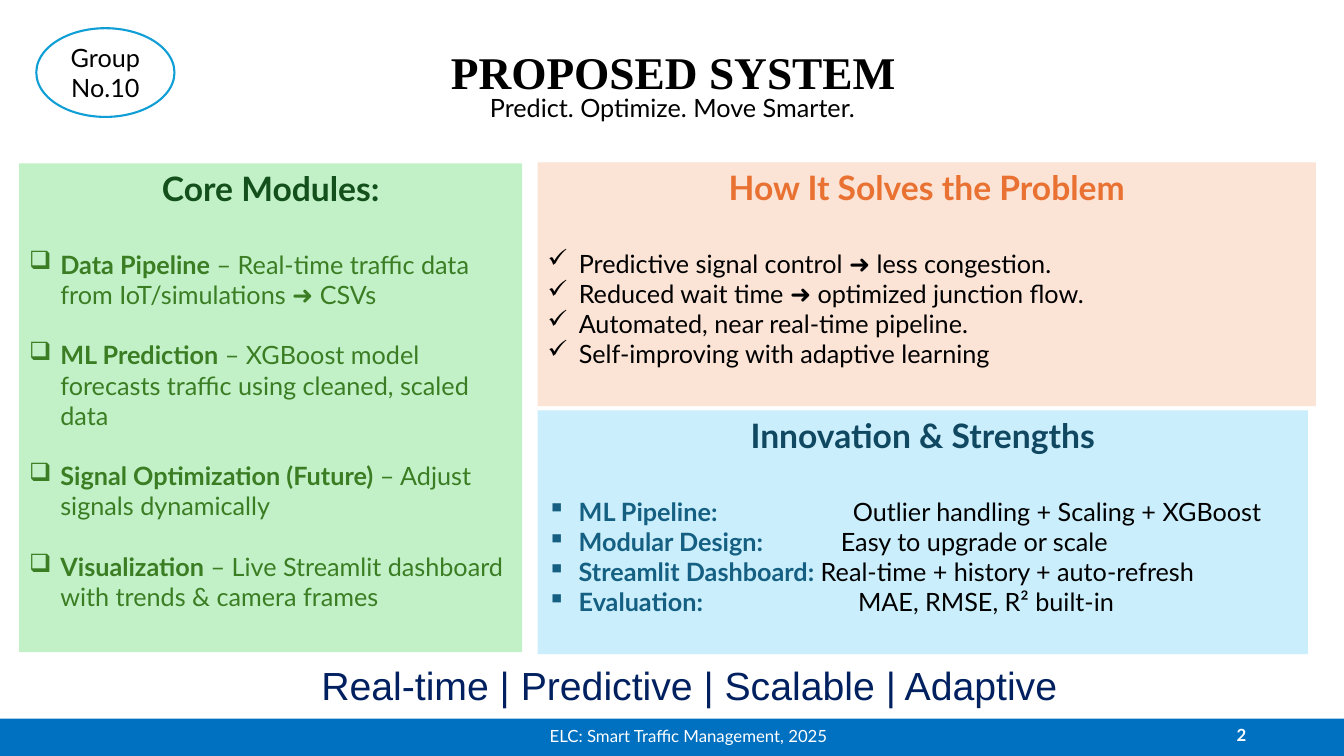
"""Build the proposed-system slide with its three topic panels."""
from dataclasses import dataclass

from lxml import etree
from pptx import Presentation
from pptx.dml.color import RGBColor
from pptx.enum.shapes import MSO_SHAPE
from pptx.enum.text import MSO_ANCHOR, PP_ALIGN
from pptx.oxml.ns import qn
from pptx.util import Emu, Inches, Pt

RECT, OVAL = MSO_SHAPE.RECTANGLE, MSO_SHAPE.OVAL
TOP, MIDDLE = MSO_ANCHOR.TOP, MSO_ANCHOR.MIDDLE
LEFT, CENTER, RIGHT = PP_ALIGN.LEFT, PP_ALIGN.CENTER, PP_ALIGN.RIGHT
WIDTH, HEIGHT = Inches(13.33), Inches(7.5)
FONT = "Lato"
BLACK, WHITE, BLUE = "000000", "FFFFFF", "0070C0"
INDENT = Inches(0.31)


@dataclass
class Box:
    x: float
    y: float
    w: float
    h: float


@dataclass
class Label:
    box: Box
    text: str
    size: float = 18
    color: str = BLACK
    font: str = FONT
    bold: bool = False
    align: PP_ALIGN = CENTER
    anchor: MSO_ANCHOR = MIDDLE


@dataclass
class Item:
    text: str
    lead: str = ""
    tab: float = 0


@dataclass
class Panel:
    box: Box
    fill: str
    heading: str
    heading_color: str
    bullet: str
    lead_color: str
    text_color: str
    items: list[Item]
    gap: float = 0


TITLE = Label(Box(5.1, 3.6, 90, 11.73), "PROPOSED SYSTEM", 32.4,
              font="Times New Roman", bold=True)
BADGE = Label(Box(2.7, 3.73, 10.28, 11.73), "Group No.10")
LABELS = [
    Label(Box(38.11, 94.67, 26.26, 5.33), "ELC: Smart Traffic Management, 2025", 12, WHITE),
    Label(Box(70.97, 94.53, 22.5, 5.33), "2", 12, WHITE, bold=True, align=RIGHT),
    Label(Box(35.71, 11.6, 33.68, 5.33), "Predict. Optimize. Move Smarter.",
          align=LEFT, anchor=TOP),
    Label(Box(14.25, 86.8, 74.04, 13.2), "Real-time | Predictive | Scalable | Adaptive",
          28, "002060", "Arial", anchor=TOP),
]
PANELS = [
    Panel(Box(40, 21.47, 57.91, 32.27), "FBE3D6", "How It Solves the Problem", "E97132",
          "✓", BLACK, BLACK, [
              Item("Predictive signal control ➜ less congestion."),
              Item("Reduced wait time ➜ optimized junction flow."),
              Item("Automated, near real-time pipeline."),
              Item("Self-improving with adaptive learning"),
          ]),
    Panel(Box(40, 54.27, 57.31, 32.27), "CAEEFB", "Innovation & Strengths", "104862",
          "▪", "156082", BLACK, [
              Item("\tOutlier handling + Scaling + XGBoost", "ML Pipeline:", 3.03),
              Item("\tEasy to upgrade or scale", "Modular Design:", 2.91),
              Item(" Real-time + history + auto-refresh", "Streamlit Dashboard:"),
              Item("\tMAE, RMSE, R² built-in", "Evaluation:", 3.08),
          ]),
    Panel(Box(1.43, 21.6, 37.43, 64.67), "C2F1C8", "Core Modules:", "13501B",
          "❑", "3B7D23", "3B7D23", [
              Item(" – Real-time traffic data from IoT/simulations ➜ CSVs", "Data Pipeline"),
              Item(" – XGBoost model forecasts traffic using cleaned, scaled data",
                   "ML Prediction"),
              Item(" – Adjust signals dynamically", "Signal Optimization (Future)"),
              Item(" – Live Streamlit dashboard with trends & camera frames", "Visualization"),
          ], 21.6),
]


def rgb(color: str) -> RGBColor:
    """Turn a hex string into a colour."""
    return RGBColor.from_string(color)


def place(box: Box) -> tuple[Emu, Emu, Emu, Emu]:
    """Turn percentages of the slide into left, top, width and height."""
    return (Emu(int(WIDTH * box.x / 100)), Emu(int(HEIGHT * box.y / 100)),
            Emu(int(WIDTH * box.w / 100)), Emu(int(HEIGHT * box.h / 100)))


def style(r, size: float, color: str, bold: bool = False, font: str = FONT) -> None:
    """Format a run."""
    r.font.size, r.font.bold, r.font.name = Pt(size), bold, font
    r.font.color.rgb = rgb(color)


def add_block(slide, kind: MSO_SHAPE, box: Box, fill: str, line: str = ""):
    """Add a filled shape, outlined only when a line colour is given."""
    sp = slide.shapes.add_shape(kind, *place(box))
    sp.shadow.inherit = False
    sp.fill.solid()
    sp.fill.fore_color.rgb = rgb(fill)
    if line:
        sp.line.color.rgb = rgb(line)
        sp.line.width = Pt(1.5)
    else:
        sp.line.fill.background()
    return sp


def write_label(sp, label: Label) -> None:
    """Write a one-paragraph label into a shape."""
    tf = sp.text_frame
    tf.text = label.text
    tf.word_wrap, tf.vertical_anchor = True, label.anchor
    p = tf.paragraphs[0]
    p.alignment = label.align
    style(p.runs[0], label.size, label.color, label.bold, label.font)


def set_bullet(p, char: str, tab: float) -> None:
    """Give a paragraph a hanging bullet and an optional tab stop."""
    ppr = p._p.get_or_add_pPr()
    ppr.set("marL", str(INDENT))
    ppr.set("indent", str(-INDENT))
    etree.SubElement(ppr, qn("a:buChar")).set("char", char)
    if tab:
        stop = etree.SubElement(etree.SubElement(ppr, qn("a:tabLst")), qn("a:tab"))
        stop.set("pos", str(Inches(tab)))
        stop.set("algn", "l")


def add_panel(slide, panel: Panel) -> None:
    """Add a coloured panel with a heading and bulleted items."""
    sp = add_block(slide, RECT, panel.box, panel.fill)
    write_label(sp, Label(panel.box, panel.heading, 24, panel.heading_color,
                          bold=True, anchor=TOP))
    tf = sp.text_frame
    tf.paragraphs[0].space_after = Pt(28.8)
    for i, item in enumerate(panel.items):
        p = tf.add_paragraph()
        p.alignment = LEFT
        set_bullet(p, panel.bullet, item.tab)
        if i:
            p.space_before = Pt(panel.gap)
        if item.lead:
            r = p.add_run()
            r.text = item.lead
            style(r, 18, panel.lead_color, True)
        r = p.add_run()
        r.text = item.text
        style(r, 18, panel.text_color)


def main() -> None:
    """Build and save the slide."""
    prs = Presentation()
    prs.slide_width, prs.slide_height = WIDTH, HEIGHT
    slide = prs.slides.add_slide(prs.slide_layouts[5])
    title = slide.shapes.title
    title.left, title.top, title.width, title.height = place(TITLE.box)
    write_label(title, TITLE)
    add_block(slide, RECT, Box(0, 95.07, 100, 4.93), BLUE)
    write_label(add_block(slide, OVAL, BADGE.box, WHITE, "0F9ED5"), BADGE)
    for panel in PANELS:
        add_panel(slide, panel)
    for label in LABELS:
        write_label(slide.shapes.add_textbox(*place(label.box)), label)
    prs.save("out.pptx")


if __name__ == "__main__":
    main()
